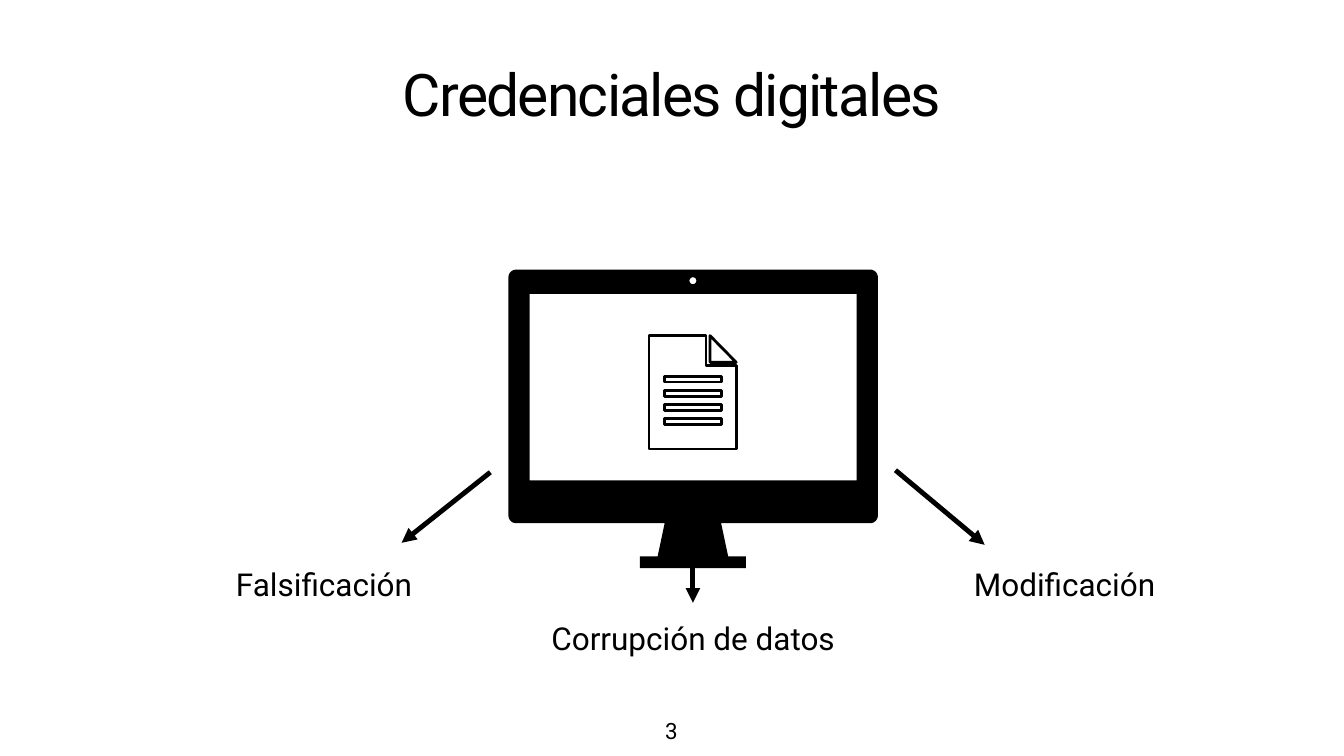
"""Build the slide on digital credentials and the risks they face."""
import math
from dataclasses import dataclass

import pptx
import pptx.dml.color
import pptx.enum.shapes
import pptx.enum.text
import pptx.oxml.ns
import pptx.oxml.xmlchemy
import pptx.util

Inches = pptx.util.Inches
Pt = pptx.util.Pt
Anchor = pptx.enum.text.MSO_ANCHOR
Point = tuple[float, float]
BLACK = "000000"
WHITE = "FFFFFF"
MID = 13.75


@dataclass
class Label:
    text: str
    left: float
    top: float
    width: float
    height: float
    size: float = 45
    anchor: Anchor = Anchor.MIDDLE
    wrap: bool = False
    leading: float = 1.0
    spacing: int = 0


@dataclass
class Arrow:
    tip: Point
    base: Point


LABELS = [
    Label("Credenciales digitales", 1.39, 0.89, 23.89, 1.7, 84,
          Anchor.BOTTOM, True, 0.8, -250),
    Label("Corrupción de datos", 10.63, 12.18, 6.25, 0.94),
    Label("Modificación", 19.12, 11.11, 4.01, 0.94),
    Label("Falsificación", 4.51, 11.11, 3.84, 0.94),
    Label("3", 13.13, 14.13, 0.39, 0.69, 32, Anchor.BOTTOM),
]
ARROWS = [
    Arrow((7.97, 10.77), (9.73, 9.37)),
    Arrow((MID, 11.96), (MID, 10.5)),
    Arrow((19.54, 10.81), (17.77, 9.33)),
]


def color(code: str) -> pptx.dml.color.RGBColor:
    """Turn a hex string into a colour."""
    return pptx.dml.color.RGBColor.from_string(code)


def element(tag: str, **attrs: str):
    """Make a drawing element with the given attributes."""
    node = pptx.oxml.xmlchemy.OxmlElement(tag)
    for key, value in attrs.items():
        node.set(key, value)
    return node


def arc(x: float, y: float, radius: float, start: int, sweep: int) -> list[Point]:
    """Give points along a clockwise arc, with angles in degrees."""
    angles = [math.radians(start + sweep * i / 12) for i in range(13)]
    return [(x + radius * math.cos(a), y + radius * math.sin(a)) for a in angles]


def box(left: float, top: float, right: float, bottom: float) -> list[Point]:
    """Give the four corners of a rectangle."""
    return [(left, top), (right, top), (right, bottom), (left, bottom)]


def outline(slide, loops: list[list[Point]], fill: str):
    """Draw closed loops as one filled shape without a line."""
    paths = [[(Inches(x), Inches(y)) for x, y in loop] for loop in loops]
    build = slide.shapes.build_freeform(*paths[0][0], scale=1.0)
    for i, path in enumerate(paths):
        if i:
            build.move_to(*path[0])
        build.add_line_segments(path[1:], close=True)
    shape = build.convert_to_shape()
    shape.shadow.inherit = False
    shape.fill.solid()
    shape.fill.fore_color.rgb = color(fill)
    shape.line.fill.background()
    return shape


def draw_screen(slide) -> None:
    """Draw the monitor with its stand, camera and open screen."""
    left, top, right, bottom, radius = 10.09, 5.35, 17.42, 10.38, 0.15
    stand = [(0.56, bottom), (0.7, 11.04), (1.05, 11.04), (1.05, 11.27)]
    body = (
        arc(left + radius, top + radius, radius, 180, 90)
        + arc(right - radius, top + radius, radius, 270, 90)
        + arc(right - radius, bottom - radius, radius, 0, 90)
        + [(MID + x, y) for x, y in stand]
        + [(MID - x, y) for x, y in reversed(stand)]
        + arc(left + radius, bottom - radius, radius, 90, 90)
    )
    camera = arc(MID, 5.57, 0.07, 0, 360)
    outline(slide, [body, camera, box(10.51, 5.83, 17, 9.53)], BLACK)


def draw_page(slide) -> None:
    """Draw the document with a folded corner and four lines of text."""
    page = [(12.88, 6.66), (14.01, 6.66), (14.01, 7.26),
            (14.62, 7.26), (14.62, 8.91), (12.88, 8.91)]
    fold = [(14.09, 6.66), (14.61, 7.19), (14.09, 7.19)]
    tops = [7.47 + 0.28 * i for i in range(4)]
    rows = [box(13.19, top, 14.31, top + 0.11) for top in tops]
    shape = outline(slide, [page, fold, *rows], WHITE)
    shape.line.color.rgb = color(BLACK)
    shape.line.width = Pt(4)
    shape.line._get_or_add_ln().append(element("a:round"))


def draw_arrow(slide, arrow: Arrow) -> None:
    """Draw a thick line with a triangle at its tip."""
    ends = [Inches(n) for n in (*arrow.tip, *arrow.base)]
    kind = pptx.enum.shapes.MSO_CONNECTOR.STRAIGHT
    line = slide.shapes.add_connector(kind, *ends)
    line.line.color.rgb = color(BLACK)
    line.line.width = Pt(7)
    line.line._get_or_add_ln().append(element("a:headEnd", type="triangle"))
    props = line._element.find(pptx.oxml.ns.qn("p:spPr"))
    props.append(element("a:effectLst"))


def draw_label(slide, label: Label) -> None:
    """Draw one centred text box."""
    place = (label.left, label.top, label.width, label.height)
    frame = slide.shapes.add_textbox(*[Inches(n) for n in place]).text_frame
    frame.margin_left = frame.margin_right = Inches(0.06)
    frame.margin_top = frame.margin_bottom = Inches(0.06)
    frame.word_wrap = label.wrap
    frame.vertical_anchor = label.anchor
    if not label.wrap:
        frame.auto_size = pptx.enum.text.MSO_AUTO_SIZE.SHAPE_TO_FIT_TEXT
    frame.text = label.text
    para = frame.paragraphs[0]
    para.alignment = pptx.enum.text.PP_ALIGN.CENTER
    para.line_spacing = label.leading
    font = para.runs[0].font
    font.name = "Roboto"
    font.size = Pt(label.size)
    font.color.rgb = color(BLACK)
    if label.spacing:
        font._element.set("spc", str(label.spacing))


def main() -> None:
    """Build and save the slide."""
    deck = pptx.Presentation()
    deck.slide_width = Inches(26.67)
    deck.slide_height = Inches(15)
    slide = deck.slides.add_slide(deck.slide_layouts[6])
    slide.background.fill.solid()
    slide.background.fill.fore_color.rgb = color(WHITE)
    draw_screen(slide)
    draw_page(slide)
    for arrow in ARROWS:
        draw_arrow(slide, arrow)
    for label in LABELS:
        draw_label(slide, label)
    deck.save("out.pptx")


if __name__ == "__main__":
    main()
